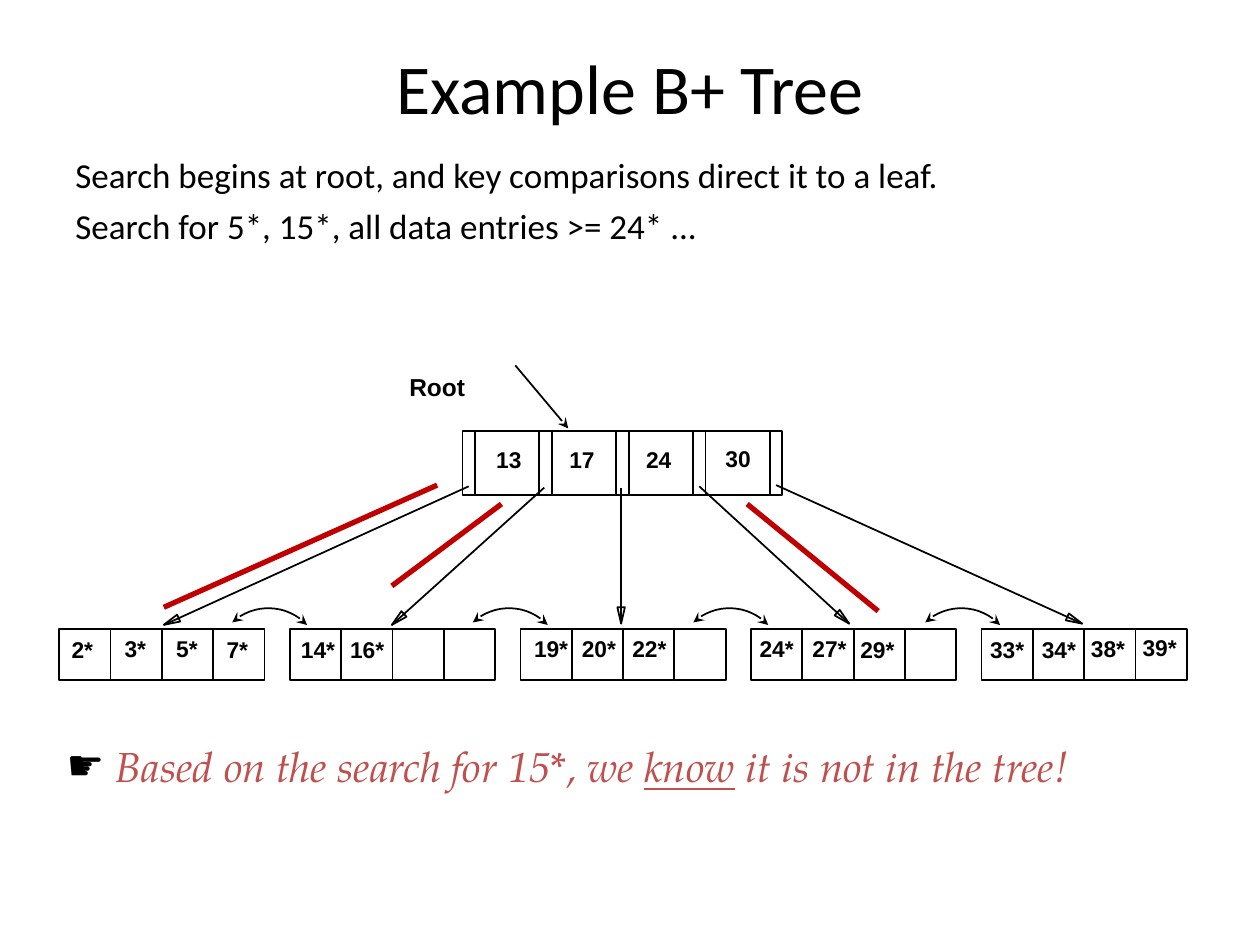
import math
from lxml import etree
from pptx import Presentation, util as u
from pptx.dml.color import RGBColor
from pptx.enum import shapes, text
from pptx.oxml import ns

BLACK, RED, ROSE = "000000", "C00000", "C0504D"
BODY, LABEL, NOTE = "Calibri", "Arial", "TeX Gyre Pagella"
LEAF_LEFT, LEAF_TOP, LEAF_WIDTH, LEAF_STEP = 0.47, 4.99, 1.63, 1.83
ROOT_LEFT, ROOT_TOP, ROOT_HEIGHT = 3.67, 3.42, 0.51
KEY_STEP, POINTER_WIDTH = 0.61, 0.1
LABEL_WIDTHS = {"Root": 0.76, 2: 0.4, 3: 0.47}

ROOT_KEYS = [("13", 3.84, 3.49), ("17", 4.42, 3.49), ("24", 5.03, 3.49), ("30", 5.66, 3.48)]
LEAVES = [
    [("2*", 0.47, 5), ("3*", 0.89, 4.99), ("5*", 1.3, 4.99), ("7*", 1.7, 5)],
    [("14*", 2.29, 5), ("16*", 2.68, 5)],
    [("19*", 4.14, 4.99), ("20*", 4.52, 4.99), ("22*", 4.92, 4.99)],
    [("24*", 5.93, 4.99), ("27*", 6.35, 4.99), ("29*", 6.73, 5)],
    [("33*", 7.76, 5), ("34*", 8.17, 5), ("38*", 8.56, 4.99), ("39*", 8.97, 4.98)],
]
CHILD_POINTERS = [
    ((3.72, 3.86), (1.3, 4.96)), ((4.32, 3.87), (3.11, 4.96)), ((4.93, 3.87), (4.93, 4.95)),
    ((5.55, 3.86), (6.74, 4.95)), ((6.16, 3.85), (8.59, 4.95)),
]
SEARCH_PATHS = [((3.47, 3.85), (1.3, 4.82)), ((3.98, 4), (3.11, 4.65)), ((5.93, 4), (6.97, 4.85))]
SIBLING_LEFTS = [1.93, 3.84, 5.59, 7.43]


def color(hex_value):
    return RGBColor.from_string(hex_value)


class TreeSlide:
    """Draws the parts of a B+ tree on one slide in a shared style."""

    def __init__(self, slide):
        self.shapes = slide.shapes

    def outline(self, shape):
        shape.shadow.inherit = False
        shape.fill.background()
        shape.line.color.rgb = color(BLACK)
        shape.line.width = u.Pt(1)
        return shape

    def arrow_ends(self, shape, *ends):
        line = shape.line._get_or_add_ln()
        for end in ends:
            etree.SubElement(line, ns.qn(f"a:{end}"), type="stealth")

    def words(self, lines, box, size, font, bold=False, gap=0):
        area = self.shapes.add_textbox(*map(u.Inches, box))
        frame = area.text_frame
        frame.word_wrap = True
        frame.text = "\n".join(lines)
        for index, paragraph in enumerate(frame.paragraphs):
            style = paragraph.font
            style.name, style.size, style.bold = font, u.Pt(size), bold
            style.color.rgb = color(BLACK)
            if index:
                paragraph.space_before = u.Pt(gap)
        return frame

    def label(self, wording, left, top, size=13):
        width = LABEL_WIDTHS.get(wording) or LABEL_WIDTHS[len(wording)]
        frame = self.words([wording], (left, top, width, 0.31), size, LABEL, bold=True)
        frame.margin_right = 0

    def bulleted(self, pieces, box, size, indent):
        paragraph = self.words([""], box, size, NOTE).paragraphs[0]
        properties = paragraph._p.get_or_add_pPr()
        properties.set("marL", str(u.Inches(indent)))
        properties.set("indent", str(-u.Inches(indent)))
        bullet_color = etree.Element(ns.qn("a:buClr"))
        etree.SubElement(bullet_color, ns.qn("a:srgbClr"), val=BLACK)
        bullet_font = etree.Element(ns.qn("a:buFont"), typeface=LABEL)
        bullet = etree.Element(ns.qn("a:buChar"), char="☛")
        for place, element in enumerate((bullet_color, bullet_font, bullet)):
            properties.insert(place, element)
        paragraph.font.italic = True
        paragraph.font.color.rgb = color(ROSE)
        for wording, underlined in pieces:
            run = paragraph.add_run()
            run.text = wording
            if underlined:
                run.font.underline = True

    def cell(self, left, top, width, height):
        box = map(u.Inches, (left, top, width, height))
        self.outline(self.shapes.add_shape(shapes.MSO_SHAPE.RECTANGLE, *box))

    def line(self, start, end, hex_value=BLACK, width=1):
        link = self.shapes.add_connector(
            shapes.MSO_CONNECTOR.STRAIGHT, *map(u.Inches, (*start, *end)))
        link.line.color.rgb = color(hex_value)
        link.line.width = u.Pt(width)
        etree.SubElement(link._element.spPr, ns.qn("a:effectLst"))
        return link

    def freeform(self, points, close):
        corners = [(u.Inches(x), u.Inches(y)) for x, y in points]
        builder = self.shapes.build_freeform(*corners[0])
        builder.add_line_segments(corners[1:], close=close)
        return self.outline(builder.convert_to_shape())

    def child_pointer(self, start, tip, length=0.13, half=0.03):
        self.line(start, tip)
        angle = math.atan2(tip[1] - start[1], tip[0] - start[0])
        along, across = math.cos(angle), math.sin(angle)
        base = [(tip[0] - length * along - side * across, tip[1] - length * across + side * along)
                for side in (half, -half)]
        self.freeform([tip, *base], close=True)

    def sibling_link(self, left, top=4.74, radius=0.42, steps=16):
        angles = [math.pi / 2 * step / steps for step in range(steps + 1)]
        curve = [(left + radius * math.sin(a), top + radius * (1 - math.cos(a))) for a in angles]
        link = self.freeform(curve, close=False)
        link.rotation = 317
        self.arrow_ends(link, "headEnd", "tailEnd")


def main():
    deck = Presentation()
    deck.slide_width, deck.slide_height = u.Inches(10), u.Inches(7.5)
    tree = TreeSlide(deck.slides.add_slide(deck.slide_layouts[6]))

    title = tree.words(["Example B+ Tree"], (0.5, 0.3, 9, 0.78), 40, BODY)
    title.vertical_anchor = text.MSO_ANCHOR.MIDDLE
    title.paragraphs[0].alignment = text.PP_ALIGN.CENTER
    tree.words(["Search begins at root, and key comparisons direct it to a leaf.",
                "Search for 5*, 15*, all data entries >= 24* ..."],
               (0.5, 1.17, 9, 5.53), 20, BODY, gap=5)
    tree.bulleted([("Based on the search for 15*, we ", False), ("know", True),
                   (" it is not in the tree!", False)], (0.43, 5.83, 9.37, 0.5), 24, 0.39)

    for index in range(len(ROOT_KEYS)):
        left = ROOT_LEFT + index * KEY_STEP
        divider = left + POINTER_WIDTH
        tree.cell(left, ROOT_TOP, KEY_STEP, ROOT_HEIGHT)
        tree.line((divider, ROOT_TOP), (divider, ROOT_TOP + ROOT_HEIGHT))
    tree.cell(ROOT_LEFT + len(ROOT_KEYS) * KEY_STEP, ROOT_TOP, POINTER_WIDTH, ROOT_HEIGHT)

    cell_size = LEAF_WIDTH / 4
    for leaf in range(len(LEAVES)):
        for slot in range(4):
            left = LEAF_LEFT + leaf * LEAF_STEP + slot * cell_size
            tree.cell(left, LEAF_TOP, cell_size, cell_size)

    for start, tip in CHILD_POINTERS:
        tree.child_pointer(start, tip)
    tree.label("Root", 3.15, 2.9, size=14)
    for entry in sum(LEAVES, ROOT_KEYS):
        tree.label(*entry)
    tree.arrow_ends(tree.line((4.09, 2.9), (4.51, 3.4)), "tailEnd")
    for left in SIBLING_LEFTS:
        tree.sibling_link(left)
    for start, end in SEARCH_PATHS:
        tree.line(start, end, RED, 3)

    deck.save("out.pptx")


if __name__ == "__main__":
    main()
